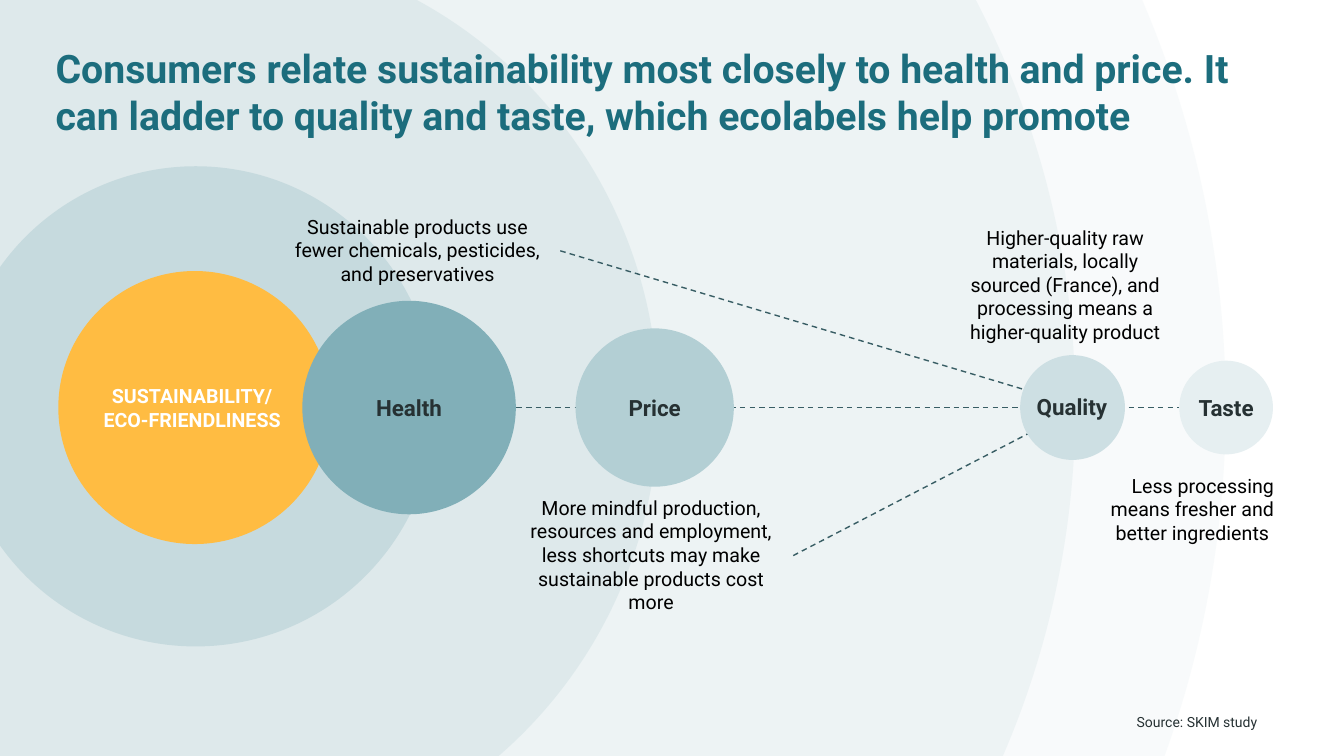
import math
from dataclasses import dataclass
from itertools import pairwise

from lxml import etree
from pptx import Presentation
from pptx import util as u
from pptx.dml.color import RGBColor
from pptx.enum import dml, shapes, text
from pptx.oxml import ns

WIDTH, HEIGHT = 33.87, 19.05
AXIS_Y = 10.27
HALO_X, HALO_Y = 4.93, 10.24
COLORS = {
    "title": "1C6D7D", "dark": "263133", "black": "000000", "white": "FFFFFF",
    "line": "385D64", "sustainability": "FFBC42", "health": "81AFB8",
    "price": "B3CFD4", "quality": "CDDFE3", "taste": "E6EFF1",
}
CENTER, RIGHT = text.PP_ALIGN.CENTER, text.PP_ALIGN.RIGHT


@dataclass(frozen=True)
class Halo:
    radius: float
    color: str


@dataclass(frozen=True)
class Bubble:
    center_x: float
    diameter: float
    color: str
    label: str = ""


@dataclass(frozen=True)
class Note:
    words: str
    left: float
    top: float
    width: float
    height: float
    size: int = 14
    color: str = "black"
    bold: bool = False
    alignment: text.PP_ALIGN = CENTER
    padded: bool = True


@dataclass(frozen=True)
class Link:
    start: tuple[float, float]
    end: tuple[float, float]


HALOS = [Halo(25.96, "taste"), Halo(22.17, "quality"),
         Halo(11.66, "price"), Halo(6.05, "health")]
LINKS = [Link((14.12, 6.32), (27.13, 10.21)),
         Link((19.99, 14), (27.1, 10.31)),
         Link((7.62, AXIS_Y), (29.72, AXIS_Y))]
BUBBLES = [
    Bubble(4.91, 6.88, "sustainability"),
    Bubble(10.31, 5.38, "health", "Health"),
    Bubble(16.5, 3.99, "price", "Price"),
    Bubble(27.03, 2.64, "quality"),
    Bubble(30.9, 2.36, "taste", "Taste"),
]
NOTES = [
    Note("Sustainable products use fewer chemicals, pesticides, and preservatives",
         6.93, 5.28, 7.19, 2.06),
    Note("More mindful production, resources and employment, less shortcuts may make "
         "sustainable products cost more", 12.83, 12.37, 7.16, 3.25),
    Note("Higher-quality raw materials, locally sourced (France), and processing means "
         "a higher-quality product", 23.9, 5.56, 5.89, 3.25),
    Note("Less processing means fresher and better ingredients ",
         27.25, 11.81, 5.11, 2.06, alignment=RIGHT),
    Note("SUSTAINABILITY/\nECO-FRIENDLINESS", 0.97, 9.55, 7.75, 1.45,
         color="white", bold=True),
    Note("Quality", 25.48, 9.78, 3.07, 0.94, size=16, color="dark", bold=True),
    Note("Source: SKIM study", 2.34, 17.98, 29.34, 0.58, size=10, color="dark",
         alignment=RIGHT, padded=False),
]


def rgb(name: str) -> RGBColor:
    return RGBColor.from_string(COLORS[name])


def paint(shape, color: str) -> None:
    shape.shadow.inherit = False
    shape.fill.solid()
    shape.fill.fore_color.rgb = rgb(color)
    shape.line.fill.background()


def write(frame, words: str, size: int, color: str, bold: bool,
          alignment: text.PP_ALIGN) -> None:
    frame.text = words
    for paragraph in frame.paragraphs:
        paragraph.alignment = alignment
        for run in paragraph.runs:
            run.font.name = "Roboto"
            run.font.size = u.Pt(size)
            run.font.bold = bold
            run.font.color.rgb = rgb(color)


def clear_margins(frame) -> None:
    frame.margin_left = frame.margin_right = 0
    frame.margin_top = frame.margin_bottom = 0


def halo_point(radius: float, angle: float, tangent: float = 0) -> tuple[int, int]:
    """Give a point on the rim, moved along its tangent by a share of the radius."""
    x = HALO_X + radius * (math.cos(angle) - tangent * math.sin(angle))
    y = HALO_Y + radius * (math.sin(angle) + tangent * math.cos(angle))
    return u.Cm(x), u.Cm(y)


def add_halo(slide, halo: Halo) -> None:
    """Draw a translucent disc cut off at the slide edges, its rim in Bézier curves."""
    radius = halo.radius
    if radius > HALO_Y:
        first, last = -math.asin(HALO_Y / radius), math.asin((HEIGHT - HALO_Y) / radius)
        angles = [first, 0, last]
        corners = [(0, u.Cm(HEIGHT)), (0, 0)]
    else:
        last = math.acos(-HALO_X / radius)
        angles = [-last, -math.pi / 2, 0, math.pi / 2, last]
        corners = []
    rim = [halo_point(radius, angle) for angle in angles]
    builder = slide.shapes.build_freeform(*rim[0])
    builder.add_line_segments(rim[1:] + corners, close=True)
    shape = builder.convert_to_shape()
    paint(shape, halo.color)

    properties = shape.element.spPr
    segments = list(properties.iter(ns.qn("a:lnTo")))
    for segment, (start, end) in zip(segments, pairwise(angles)):
        handle = 4 / 3 * math.tan((end - start) / 4)
        segment.tag = ns.qn("a:cubicBezTo")
        controls = [halo_point(radius, start, handle), halo_point(radius, end, -handle)]
        for index, (x, y) in enumerate(controls):
            control = etree.Element(ns.qn("a:pt"), x=str(x - shape.left), y=str(y - shape.top))
            segment.insert(index, control)
    color_element = next(properties.iter(ns.qn("a:srgbClr")))
    etree.SubElement(color_element, ns.qn("a:alpha"), val="25000")


def add_link(slide, link: Link) -> None:
    connector = slide.shapes.add_connector(
        shapes.MSO_CONNECTOR.STRAIGHT,
        *(u.Cm(value) for value in link.start + link.end))
    connector.line.color.rgb = rgb("line")
    connector.line.width = u.Pt(1)
    connector.line.dash_style = dml.MSO_LINE.DASH
    etree.SubElement(connector.element.spPr, ns.qn("a:effectLst"))


def add_bubble(slide, bubble: Bubble) -> None:
    radius = bubble.diameter / 2
    shape = slide.shapes.add_shape(
        shapes.MSO_SHAPE.OVAL, u.Cm(bubble.center_x - radius), u.Cm(AXIS_Y - radius),
        u.Cm(bubble.diameter), u.Cm(bubble.diameter))
    paint(shape, bubble.color)
    if bubble.label:
        frame = shape.text_frame
        frame.margin_left = frame.margin_right = 0
        frame.vertical_anchor = text.MSO_ANCHOR.MIDDLE
        write(frame, bubble.label, 16, "dark", True, CENTER)


def add_note(slide, note: Note) -> None:
    box = slide.shapes.add_textbox(
        u.Cm(note.left), u.Cm(note.top), u.Cm(note.width), u.Cm(note.height))
    frame = box.text_frame
    frame.word_wrap = True
    if not note.padded:
        clear_margins(frame)
    write(frame, note.words, note.size, note.color, note.bold, note.alignment)


def set_title(slide) -> None:
    title = slide.shapes.title
    title.left, title.top = u.Cm(1.4), u.Cm(1.12)
    title.width, title.height = u.Cm(30.66), u.Cm(2.69)
    frame = title.text_frame
    frame.word_wrap = True
    frame.auto_size = text.MSO_AUTO_SIZE.NONE
    frame.vertical_anchor = text.MSO_ANCHOR.TOP
    clear_margins(frame)
    write(frame, "Consumers relate sustainability most closely to health and price. It "
          "can ladder to quality and taste, which ecolabels help promote",
          28, "title", True, text.PP_ALIGN.LEFT)
    slide.shapes.element.append(title.element)


def main() -> None:
    presentation = Presentation()
    presentation.slide_width = u.Cm(WIDTH)
    presentation.slide_height = u.Cm(HEIGHT)
    slide = presentation.slides.add_slide(presentation.slide_layouts.get_by_name("Title Only"))
    for halo in HALOS:
        add_halo(slide, halo)
    set_title(slide)
    for link in LINKS:
        add_link(slide, link)
    for bubble in BUBBLES:
        add_bubble(slide, bubble)
    for note in NOTES:
        add_note(slide, note)
    presentation.save("out.pptx")


if __name__ == "__main__":
    main()
